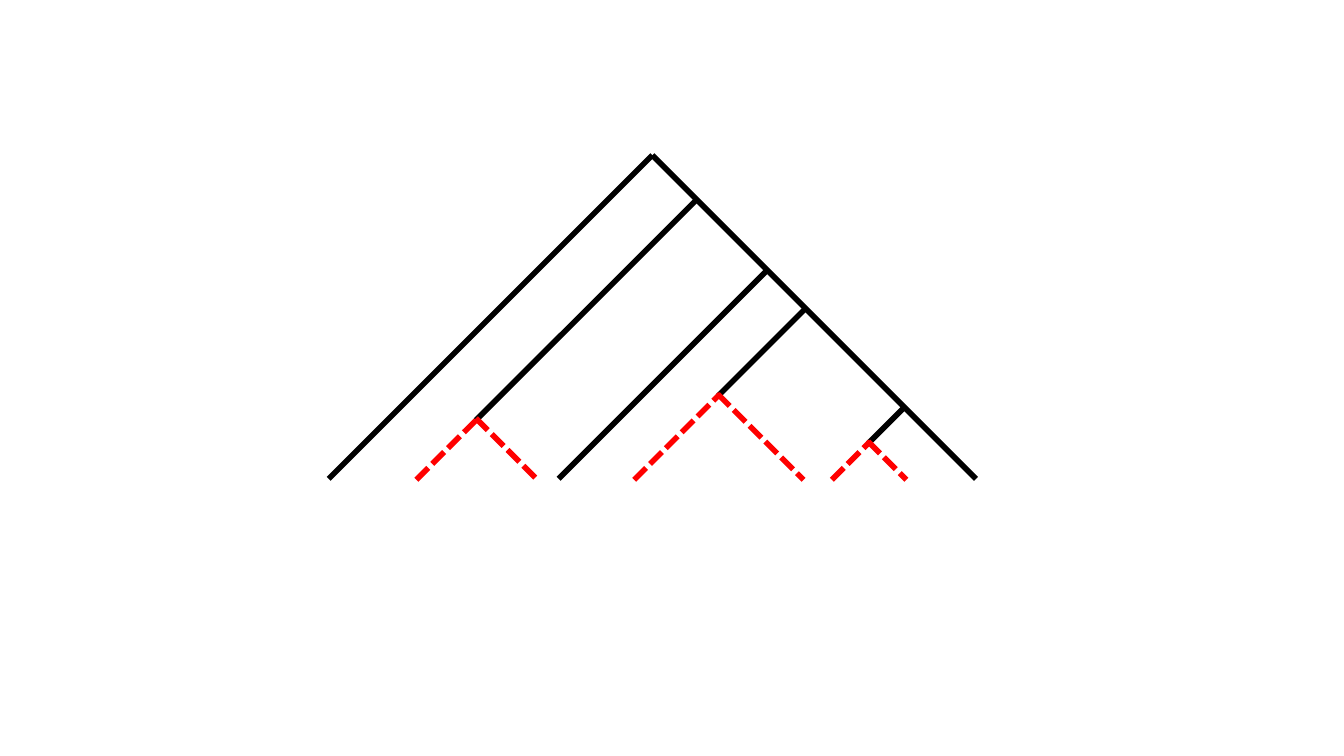
from pptx import Presentation, util as u
from pptx.dml.color import RGBColor
from pptx.enum import dml, shapes
from pptx.oxml import ns
from lxml import etree

# Slide grid: 1333 columns by 750 rows of square cells
COLUMNS, ROWS = 1333, 750
CELL = u.Inches(0.01)

# Tree layout in cells; every branch runs at 45 degrees
APEX_X, APEX_Y = 647, 154
BASE_Y = 475
FORK_BASE_Y = 476
OVERLAP = 2  # fork arms reach slightly into their stem

# Drop of each joint along the right side, row where its stem ends, forked or not
STEMS = [
    (44, 417, True),
    (114, BASE_Y, False),
    (152, 393, True),
    (250, 440, True),
]

deck = Presentation()
deck.slide_width = COLUMNS * CELL
deck.slide_height = ROWS * CELL
slide = deck.slides.add_slide(deck.slide_layouts[6])
tree = slide.shapes.add_group_shape()


def color(hex_code):
    return RGBColor.from_string(hex_code)


def add_branch(start, end, hex_code, dash=None):
    ends = [cells * CELL for cells in (*start, *end)]
    branch = tree.shapes.add_connector(shapes.MSO_CONNECTOR.STRAIGHT, *ends)
    branch.line.color.rgb = color(hex_code)
    branch.line.width = u.Pt(4)
    if dash:
        branch.line.dash_style = dash
    etree.SubElement(branch._element.spPr, ns.qn("a:effectLst"))


# Outer sides
apex = (APEX_X, APEX_Y)
height = BASE_Y - APEX_Y
add_branch((APEX_X - height, BASE_Y), apex, "000000")
add_branch(apex, (APEX_X + height, BASE_Y), "000000")

# Solid stems, parallel to the left side
forks = []
for drop, stem_end_y, forked in STEMS:
    joint_x, joint_y = APEX_X + drop, APEX_Y + drop
    stem_end_x = joint_x - (stem_end_y - joint_y)
    add_branch((stem_end_x, stem_end_y), (joint_x, joint_y), "000000")
    if forked:
        forks.append((stem_end_x, stem_end_y - OVERLAP))

# Dashed forks below the stems
for fork_x, fork_y in forks:
    reach = FORK_BASE_Y - fork_y
    left_x = fork_x + OVERLAP
    dash = dml.MSO_LINE.SQUARE_DOT  # drawn as sysDash
    add_branch((fork_x, fork_y), (fork_x + reach, FORK_BASE_Y), "FF0000", dash)
    add_branch((left_x - reach, FORK_BASE_Y), (left_x, fork_y), "FF0000", dash)

deck.save("out.pptx")
